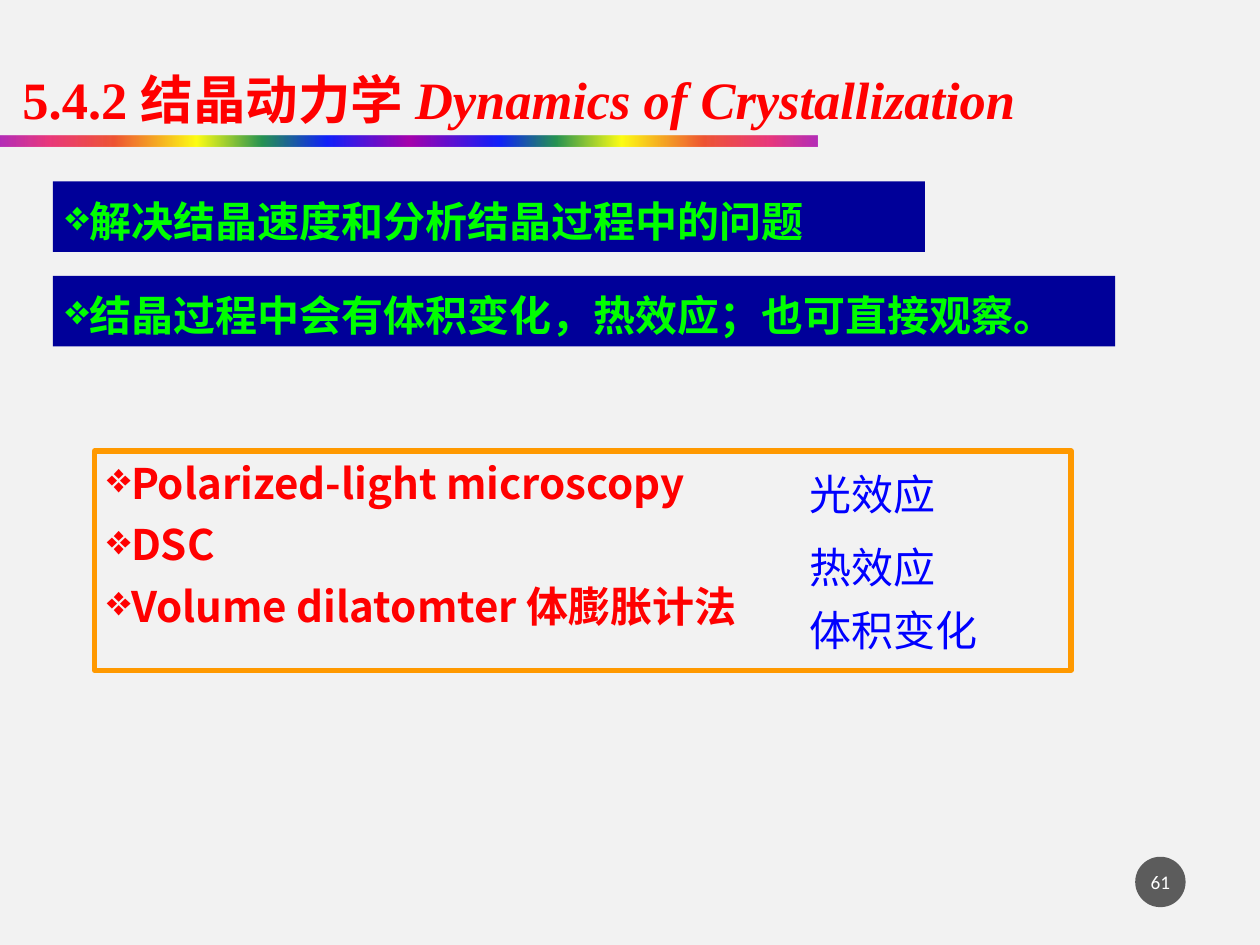
from dataclasses import dataclass

from lxml.etree import SubElement
from pptx import Presentation
from pptx.dml.color import RGBColor
from pptx.enum.shapes import MSO_SHAPE as Preset
from pptx.enum.text import MSO_ANCHOR as Anchor, PP_ALIGN as Align
from pptx.oxml.ns import qn
from pptx.util import Inches, Pt


@dataclass(frozen=True)
class Theme:
    background: str = "F2F2F2"
    red: str = "FF0000"
    band: str = "000099"
    band_text: str = "00FF00"
    frame: str = "FF9900"
    effect: str = "0000FF"
    badge: str = "1D1D1D"
    white: str = "FFFFFF"
    serif: str = "Times New Roman"
    sans: str = "Noto Sans CJK SC"
    number_font: str = "Calibri"
    title_size: int = 30
    body_size: int = 24
    number_size: int = 11


THEME = Theme()

# Position %, colour, opacity %
RAINBOW = [
    (0, "A603AB", 82), (6, "E81766", 84), (14, "EE3F17", 87),
    (24, "FFFF00", 91), (32, "1A8D48", 94), (40, "0819FB", 96),
    (50, "A603AB", 100), (61, "0819FB", 96), (68, "1A8D48", 94),
    (76, "FFFF00", 91), (86, "EE3F17", 87), (94, "E81766", 84),
    (100, "A603AB", 82),
]


def color(value):
    return RGBColor.from_string(value)


def set_alpha(color_element, percent):
    SubElement(color_element, qn("a:alpha"), val=str(percent * 1000))


def add_box(slide, preset, box, fill=None, line=None):
    shape = slide.shapes.add_shape(preset, *map(Inches, box))
    shape.shadow.inherit = False
    if fill:
        shape.fill.solid()
        shape.fill.fore_color.rgb = color(fill)
    else:
        shape.fill.background()
    if line:
        shape.line.color.rgb = color(line)
        shape.line.width = Pt(3)
    else:
        shape.line.fill.background()
    shape.text_frame.word_wrap = True
    shape.text_frame.vertical_anchor = Anchor.TOP
    return shape


def style_run(run, font, size, text_color, bold=False, italic=False):
    run.font.name = font
    run.font.size = Pt(size)
    run.font.color.rgb = color(text_color)
    run.font.bold = bold
    run.font.italic = italic
    east_asian = SubElement(run.font._element, qn("a:ea"))
    east_asian.set("typeface", THEME.sans)


def add_bullet(paragraph):
    SubElement(paragraph._p.get_or_add_pPr(), qn("a:buChar"), char="❖")


def add_rainbow_rule(slide):
    rule = add_box(slide, Preset.RECTANGLE, (0, 1.08, 6.49, 0.08))
    rule.fill.gradient()
    rule.fill.gradient_angle = 0
    stops = rule._element.spPr.find(qn("a:gradFill")).find(qn("a:gsLst"))
    for stop in list(stops):
        stops.remove(stop)
    for position, value, opacity in RAINBOW:
        stop = SubElement(stops, qn("a:gs"), pos=str(position * 1000))
        set_alpha(SubElement(stop, qn("a:srgbClr"), val=value), opacity)


def add_title(slide, plain, italic):
    title = slide.shapes.add_textbox(*map(Inches, (0.08, 0.33, 9.25, 0.75)))
    title.text_frame.word_wrap = True
    paragraph = title.text_frame.paragraphs[0]
    paragraph.line_spacing = 1.3
    for text, slanted in ((plain, False), (italic, True)):
        run = paragraph.add_run()
        run.text = text
        style_run(run, THEME.serif, THEME.title_size, THEME.red, True, slanted)


def add_band(slide, top, width, text):
    band = add_box(slide, Preset.RECTANGLE, (0.42, top, width, 0.56), THEME.band)
    band.text_frame.text = text
    paragraph = band.text_frame.paragraphs[0]
    paragraph.alignment = Align.JUSTIFY
    paragraph.line_spacing = 1.15
    add_bullet(paragraph)
    style_run(paragraph.runs[0], THEME.serif, THEME.body_size, THEME.band_text, True)


def add_methods(slide, methods):
    frame = add_box(slide, Preset.RECTANGLE, (0.75, 3.58, 7.75, 1.74), line=THEME.frame)
    frame.text_frame.text = "\n".join(methods)
    for index, paragraph in enumerate(frame.text_frame.paragraphs):
        paragraph.alignment = Align.LEFT
        if index:
            paragraph.space_before = Pt(6.5)
        add_bullet(paragraph)
        style_run(paragraph.runs[0], THEME.sans, THEME.body_size, THEME.red, True)


def add_effect(slide, top, width, text):
    label = slide.shapes.add_textbox(*map(Inches, (6.33, top, width, 0.5)))
    label.text_frame.word_wrap = True
    label.text_frame.text = text
    run = label.text_frame.paragraphs[0].runs[0]
    style_run(run, THEME.sans, THEME.body_size, THEME.effect)


def add_page_number(slide, number):
    badge = add_box(slide, Preset.OVAL, (9.01, 6.8, 0.4, 0.4), THEME.badge)
    fill = badge._element.spPr.find(qn("a:solidFill"))
    set_alpha(fill.find(qn("a:srgbClr")), 70)
    text_frame = badge.text_frame
    text_frame.margin_left = text_frame.margin_right = Inches(0.02)
    text_frame.vertical_anchor = Anchor.MIDDLE
    text_frame.text = number
    paragraph = text_frame.paragraphs[0]
    paragraph.alignment = Align.CENTER
    style_run(paragraph.runs[0], THEME.number_font, THEME.number_size, THEME.white)


def main():
    presentation = Presentation()
    presentation.slide_width = Inches(10)
    presentation.slide_height = Inches(7.5)
    slide = presentation.slides.add_slide(presentation.slide_layouts[6])
    slide.background.fill.solid()
    slide.background.fill.fore_color.rgb = color(THEME.background)

    # Heading
    add_rainbow_rule(slide)
    add_title(slide, "5.4.2 结晶动力学 ", "Dynamics of Crystallization")

    # Key statements
    add_band(slide, 1.44, 6.92, "解决结晶速度和分析结晶过程中的问题")
    add_band(slide, 2.19, 8.43, "结晶过程中会有体积变化，热效应；也可直接观察。")

    # Methods and the effect each one measures
    add_methods(slide, [
        "Polarized-light microscopy",
        "DSC",
        "Volume dilatomter 体膨胀计法",
    ])
    add_effect(slide, 3.67, 1.57, "光效应")
    add_effect(slide, 4.25, 1.57, "热效应")
    add_effect(slide, 4.75, 2, "体积变化")

    # Page number
    add_page_number(slide, "61")
    presentation.save("out.pptx")


if __name__ == "__main__":
    main()
